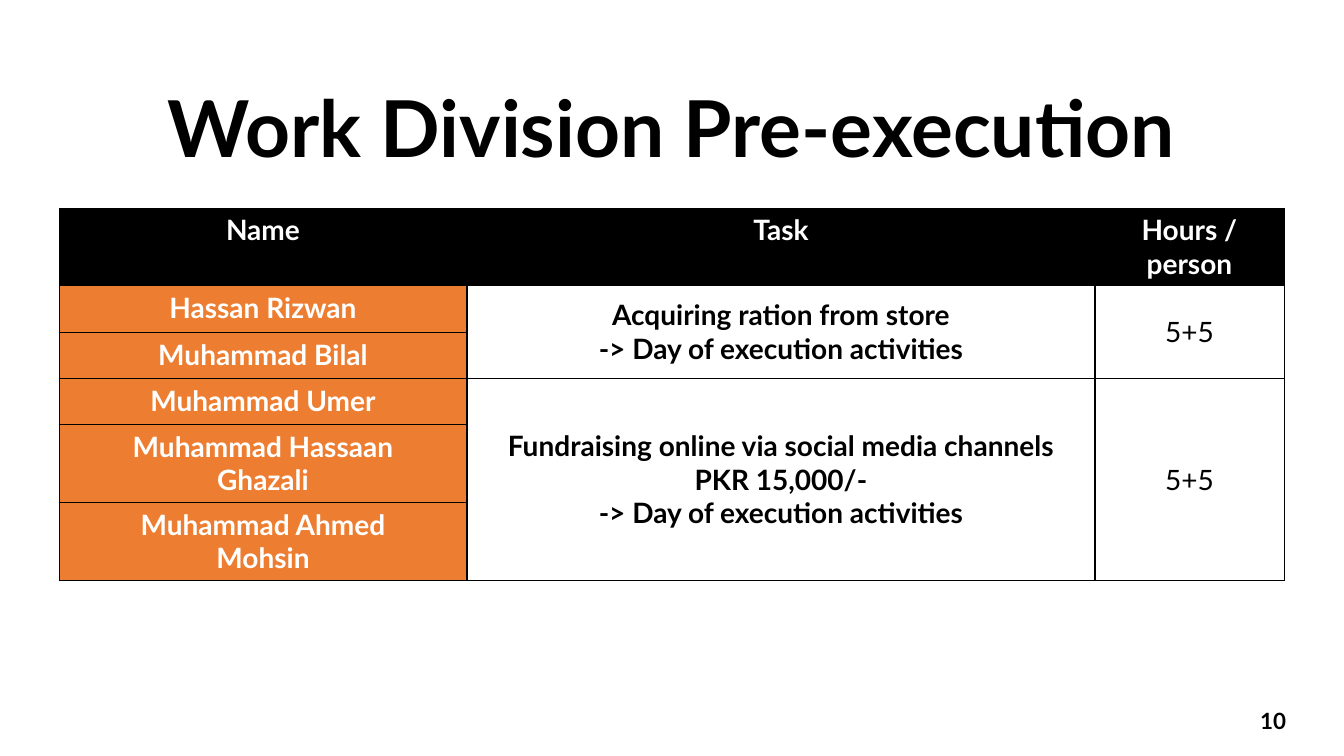
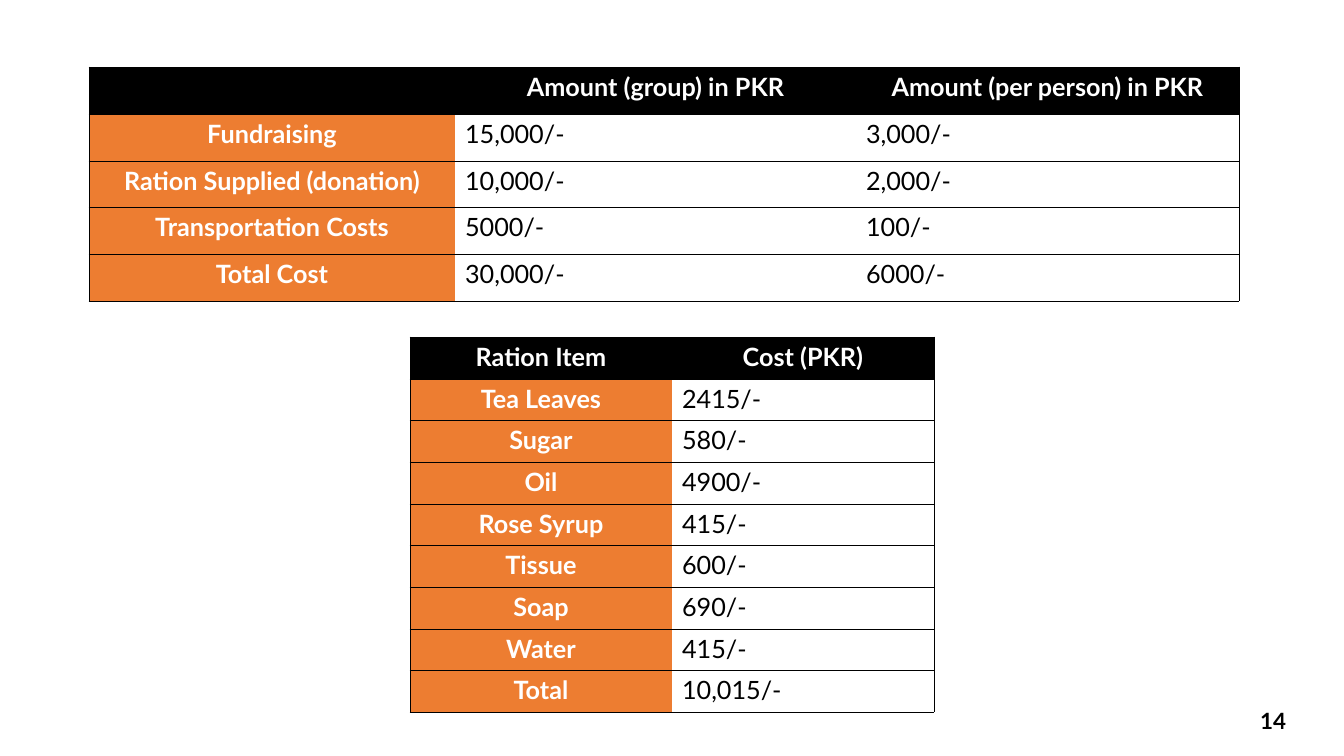
import dataclasses

import lxml.etree
import pptx
import pptx.dml.color
import pptx.enum.text
import pptx.oxml.ns
import pptx.util

ALIGN = pptx.enum.text.PP_ALIGN
ANCHOR = pptx.enum.text.MSO_ANCHOR


@dataclasses.dataclass(frozen=True)
class Theme:
    font: str = "Lato"
    black: str = "000000"
    white: str = "FFFFFF"
    accent: str = "ED7D31"
    title_size: int = 56
    number_size: int = 16
    rule: float = 0.5


THEME = Theme()
EMU_PER_PX = 914400 / 100.8
SLIDE_SIZE = (1344, 756)
TITLE_BOX = (59, 69, 1225, 127)
NUMBER_BOX = (994, 701, 302, 40)

# Content: "\n" starts a paragraph, "\v" breaks a line,
# None continues the cell above
WORK_DIVISION = [
    ("Name", "Task", "Hours / person"),
    ("Hassan Rizwan", "Acquiring ration from store\n-> Day of execution activities", "5+5"),
    ("Muhammad Bilal", None, None),
    ("Muhammad Umer",
     "Fundraising online via social media channels\nPKR 15,000/-\n-> Day of execution activities",
     "5+5"),
    ("Muhammad Hassaan\vGhazali", None, None),
    ("Muhammad Ahmed\vMohsin", None, None),
]
BUDGET = [
    ("", "Amount (group) in PKR", "Amount (per person) in PKR"),
    ("Fundraising", "15,000/-", "3,000/-"),
    ("Ration Supplied (donation)", "10,000/-", "2,000/-"),
    ("Transportation Costs", "5000/-", "100/-"),
    ("Total Cost", "30,000/-", "6000/-"),
]
RATION_COSTS = [
    ("Ration Item", "Cost (PKR)"),
    ("Tea Leaves", "2415/-"),
    ("Sugar", "580/-"),
    ("Oil", "4900/-"),
    ("Rose Syrup", "415/-"),
    ("Tissue", "600/-"),
    ("Soap", "690/-"),
    ("Water", "415/-"),
    ("Total", "10,015/-"),
]

SLIDES = [
    {"number": "10", "title": "Work Division Pre-execution", "tables": [
        {"rows": WORK_DIVISION, "at": (59, 208), "widths": (408, 628, 189),
         "heights": (77, 47, 46, 46, 78, 78), "size": 20, "align": ALIGN.CENTER,
         "anchor": ANCHOR.MIDDLE, "bold_columns": (0, 1), "inner_rule": 1},
    ]},
    {"number": "14", "title": None, "tables": [
        {"rows": BUDGET, "at": (89, 67), "widths": (366, 401, 383),
         "heights": (47, 47, 46, 47, 47), "size": 18},
        {"rows": RATION_COSTS, "at": (410, 337), "widths": (262, 262),
         "heights": (42, 41, 42) * 3, "size": 18},
    ]},
]


def px(length):
    return pptx.util.Emu(round(length * EMU_PER_PX))


def rgb(value):
    return pptx.dml.color.RGBColor.from_string(value)


def write(frame, text, *, size, color=THEME.black, bold=False,
          align=ALIGN.LEFT, line_spacing=None):
    """Fill a text frame, one paragraph per line of text."""
    for index, line in enumerate(text.split("\n")):
        paragraph = frame.add_paragraph() if index else frame.paragraphs[0]
        paragraph.text = line
        paragraph.alignment = align
        paragraph.line_spacing = line_spacing
        for run in paragraph.runs:
            run.font.name = THEME.font
            run.font.size = pptx.util.Pt(size)
            run.font.bold = bold
            run.font.color.rgb = rgb(color)


def set_borders(cell, widths):
    """Set left, right, top and bottom rules in points; 0 hides a rule."""
    properties = cell._tc.get_or_add_tcPr()
    for index, (side, width) in enumerate(zip("LRTB", widths)):
        rule = lxml.etree.Element(pptx.oxml.ns.qn(f"a:ln{side}"),
                                  w=str(pptx.util.Pt(width)))
        if width:
            fill = lxml.etree.SubElement(rule, pptx.oxml.ns.qn("a:solidFill"))
            lxml.etree.SubElement(fill, pptx.oxml.ns.qn("a:srgbClr"), val=THEME.black)
        else:
            lxml.etree.SubElement(rule, pptx.oxml.ns.qn("a:noFill"))
        properties.insert(index, rule)


def add_grid(slide, rows, at, widths, heights, size, align=ALIGN.LEFT,
             anchor=ANCHOR.TOP, bold_columns=(0,), inner_rule=0):
    box = (*at, sum(widths), sum(heights))
    grid = slide.shapes.add_table(len(rows), len(widths), *map(px, box)).table
    grid.horz_banding = False
    for column, width in zip(grid.columns, widths):
        column.width = px(width)
    for row, height in zip(grid.rows, heights):
        row.height = px(height)

    # Merge each cell with the continuations below it
    for c in range(len(widths)):
        starts = [r for r, row in enumerate(rows) if row[c] is not None]
        for start, end in zip(starts, starts[1:] + [len(rows)]):
            if end - start > 1:
                grid.cell(start, c).merge(grid.cell(end - 1, c))

    # Text, fills and rules
    for r, row in enumerate(rows):
        for c, text in enumerate(row):
            cell = grid.cell(r, c)
            label = r == 0 or c == 0
            if label:
                cell.fill.solid()
                cell.fill.fore_color.rgb = rgb(THEME.accent if r else THEME.black)
            else:
                cell.fill.background()
            cell.vertical_anchor = ANCHOR.TOP if label else anchor
            if text:
                write(cell.text_frame, text, size=size,
                      color=THEME.white if label else THEME.black,
                      bold=r == 0 or c in bold_columns,
                      align=ALIGN.CENTER if label else align)
            inner = inner_rule if r else 0
            ends = (cell.is_merge_origin or r == len(rows) - 1
                    or rows[r + 1][c] is not None)
            set_borders(cell, (
                inner if c else THEME.rule,
                inner if c < len(widths) - 1 else THEME.rule,
                0 if cell.is_spanned else THEME.rule,
                THEME.rule if ends else 0,
            ))


def add_title(slide, text):
    heading = slide.shapes.title
    heading.left, heading.top, heading.width, heading.height = map(px, TITLE_BOX)
    frame = heading.text_frame
    frame.auto_size = pptx.enum.text.MSO_AUTO_SIZE.NONE
    frame.vertical_anchor = ANCHOR.MIDDLE
    write(frame, text, size=THEME.title_size, bold=True,
          align=ALIGN.CENTER, line_spacing=0.9)


def add_number(slide, text):
    frame = slide.shapes.add_textbox(*map(px, NUMBER_BOX)).text_frame
    frame.word_wrap = True
    frame.vertical_anchor = ANCHOR.MIDDLE
    write(frame, text, size=THEME.number_size, bold=True, align=ALIGN.RIGHT)


def main():
    deck = pptx.Presentation()
    deck.slide_width, deck.slide_height = map(px, SLIDE_SIZE)
    title_only, blank = deck.slide_layouts[5], deck.slide_layouts[6]
    for content in SLIDES:
        slide = deck.slides.add_slide(title_only if content["title"] else blank)
        if content["title"]:
            add_title(slide, content["title"])
        add_number(slide, content["number"])
        for table in content["tables"]:
            add_grid(slide, **table)
    deck.save("out.pptx")


if __name__ == "__main__":
    main()
